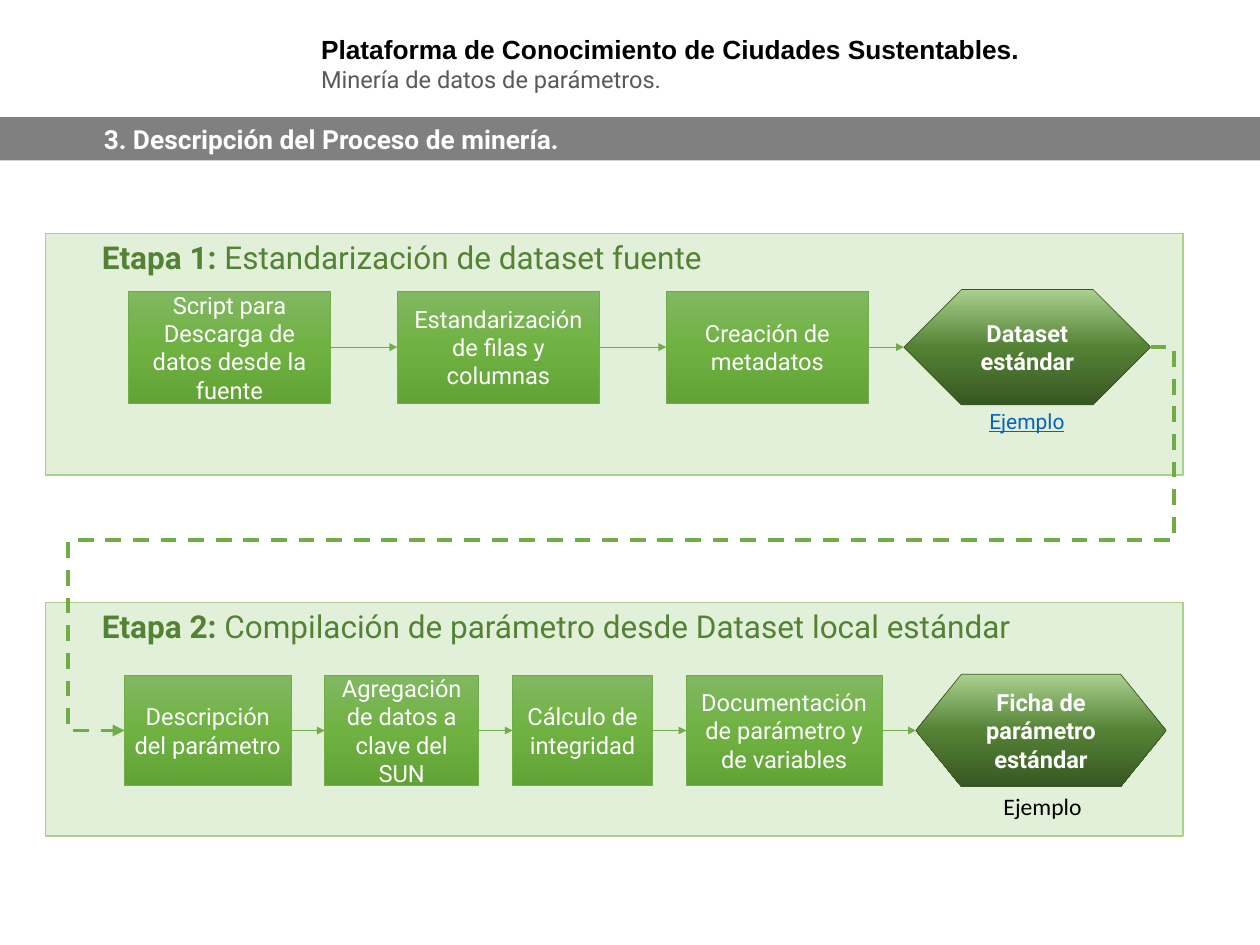
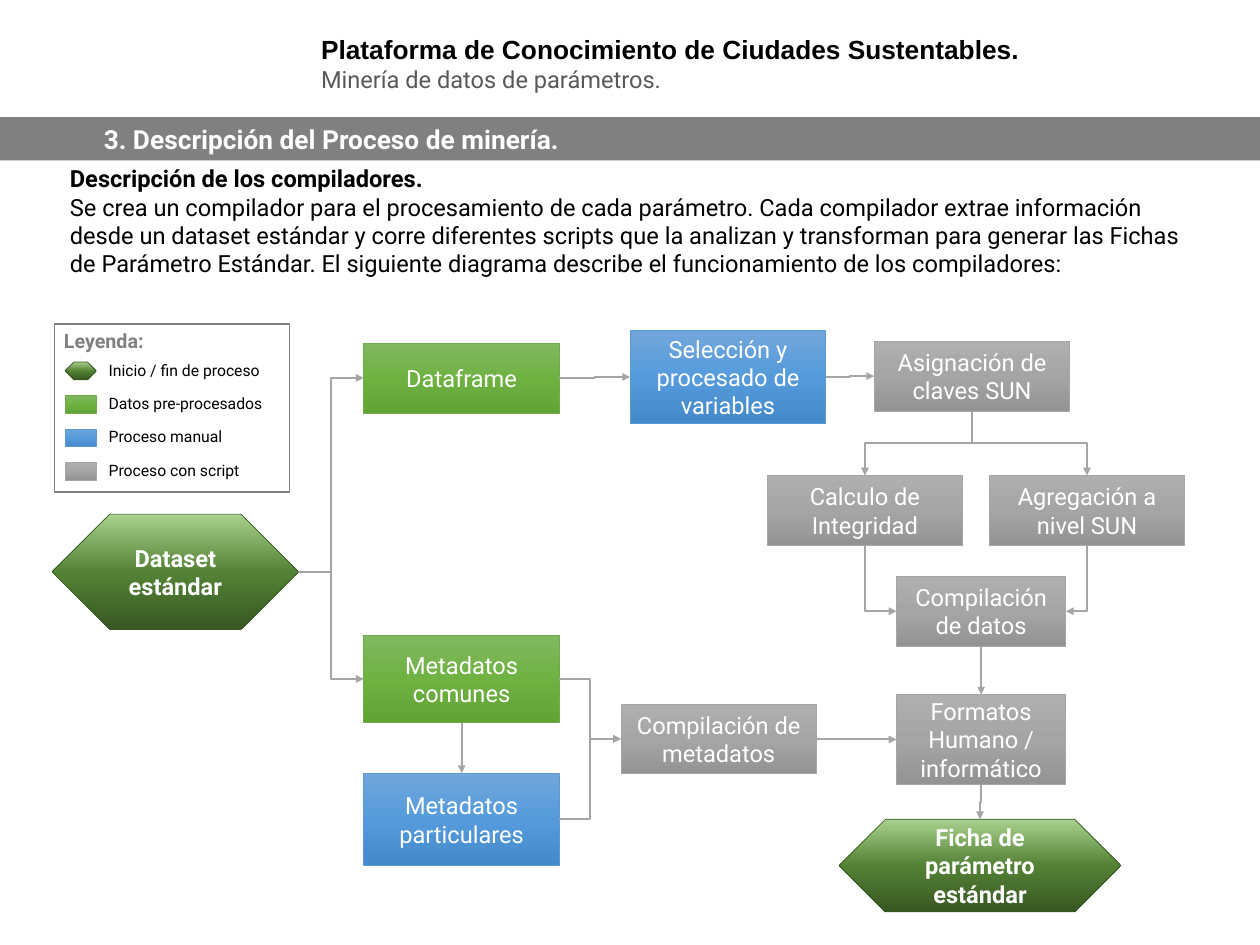
import copy
from collections import namedtuple
from pptx import Presentation
from pptx import util as u
from pptx.dml.color import RGBColor
from pptx.enum import dml, shapes, text
from pptx.oxml.ns import qn
from pptx.oxml.xmlchemy import OxmlElement


class Theme:
    black, white, grey, subtitle = "000000", "FFFFFF", "808080", "595959"
    panel, panel_line, heading = "E2F0D9", "A9D18E", "548235"
    green, flow, link = "70AD47", "A5A5A5", "0563C1"
    font, title_font, note_font = "Roboto", "Arial", "Calibri"
    title, body, stage, legend, small, example = 20, 18, 24, 15, 12, 16
    # Kind of step: gradient from top to bottom, outline
    steps = {
        "end": (("A9D18E", "548235", "385723"), "385723"),
        "data": (("81B861", "6FB242", "62A336"), "70AD47"),
        "manual": (("71A6DB", "559BDB", "448ACA"), "5B9BD5"),
        "script": (("AFAFAF", "A5A5A5", "939393"), "A5A5A5"),
    }


Box = namedtuple("Box", "left top width height")
SLIDE_W, SLIDE_H = 33.87, 25.4

# ---- Content (lengths in cm) ----
TITLE = "Plataforma de Conocimiento de Ciudades Sustentables."
SUBTITLE = "Minería de datos de parámetros."
SECTION = "3. Descripción del Proceso de minería."

STAGES = [
    dict(label="Etapa 1: ", name="Estandarización de dataset fuente",
         panel=Box(1.22, 6.27, 30.58, 6.5),
         left=3.45, top=7.82, height=3.02, gap=1.79,
         steps=[("Script para Descarga de datos desde la fuente", 5.44),
                ("Estandarización de filas y columnas", 5.44),
                ("Creación de metadatos", 5.44)],
         result="Dataset estándar", result_gap=0.95, result_size=(6.63, 3.1), point=0.5,
         example=Box(25.88, 10.85, 3.45, 0.94),
         example_style=dict(size=Theme.example, color=Theme.link, underline=True)),
    dict(label="Etapa 2: ", name="Compilación de parámetro desde Dataset local estándar",
         panel=Box(1.22, 16.2, 30.58, 6.27),
         left=3.35, top=18.16, height=2.95, gap=0.91,
         steps=[("Descripción del parámetro", 4.47),
                ("Agregación de datos a clave del SUN", 4.14),
                ("Cálculo de integridad", 3.76),
                ("Documentación de parámetro y de variables", 5.26)],
         result="Ficha de parámetro estándar", result_gap=0.91,
         result_size=(6.73, 3.02), point=0.405,
         example=Box(25.88, 21.16, 4.29, 1.04),
         example_style=dict(size=Theme.body, color=Theme.black, font=Theme.note_font)),
]
EXAMPLE = "Ejemplo"
STAGE_LINK_BENDS = (-0.023, 0.504, 1.055)

COMPILERS_HEADING = "Descripción de los compiladores."
COMPILERS_TEXT = (
    "Se crea un compilador para el procesamiento de cada parámetro. Cada compilador "
    "extrae información desde un dataset estándar y corre diferentes scripts que la "
    "analizan y transforman para generar las Fichas de Parámetro Estándar. El siguiente "
    "diagrama describe el funcionamiento de los compiladores:")

STEP_W, STEP_H = 5.26, 1.88
COMPILER_STEPS = {
    "dataset": ("end", "Dataset estándar", Box(1.4, 13.82, 6.63, 3.1)),
    "dataframe": ("data", "Dataframe", Box(9.78, 9.22, STEP_W, STEP_H)),
    "common": ("data", "Metadatos comunes", Box(9.78, 17.07, STEP_W, 2.36)),
    "particular": ("manual", "Metadatos particulares", Box(9.78, 20.78, STEP_W, 2.49)),
    "selection": ("manual", "Selección y procesado de variables",
                  Box(16.94, 8.89, STEP_W, 2.49)),
    "keys": ("script", "Asignación de claves SUN", Box(23.5, 9.17, STEP_W, STEP_H)),
    "integrity": ("script", "Calculo de Integridad", Box(20.62, 12.78, STEP_W, STEP_H)),
    "aggregation": ("script", "Agregación a nivel SUN", Box(26.59, 12.78, STEP_W, STEP_H)),
    "metadata": ("script", "Compilación de metadatos", Box(16.69, 18.92, STEP_W, STEP_H)),
    "compiled": ("script", "Compilación de datos", Box(24.1, 15.49, 4.55, STEP_H)),
    "formats": ("script", "Formatos\nHumano / informático", Box(24.1, 18.67, 4.55, 2.41)),
    "record": ("end", "Ficha de parámetro estándar", Box(22.56, 22.02, 7.57, 2.49)),
}
# From, side it leaves, to, side it enters
FLOWS = [
    ("dataset", "right", "dataframe", "left"),
    ("dataset", "right", "common", "left"),
    ("dataframe", "right", "selection", "left"),
    ("selection", "right", "keys", "left"),
    ("keys", "bottom", "integrity", "top"),
    ("keys", "bottom", "aggregation", "top"),
    ("common", "bottom", "particular", "top"),
    ("common", "right", "metadata", "left"),
    ("particular", "right", "metadata", "left"),
    ("integrity", "bottom", "compiled", "left"),
    ("aggregation", "bottom", "compiled", "right"),
    ("compiled", "bottom", "formats", "top"),
    ("metadata", "right", "formats", "left"),
    ("formats", "bottom", "record", "top"),
]
LEGEND_TITLE = "Leyenda:"
LEGEND = [("end", "Inicio / fin de proceso"), ("data", "Datos pre-procesados"),
          ("manual", "Proceso manual"), ("script", "Proceso con script")]
LEGEND_BOX = Box(1.47, 8.71, 6.32, 4.52)
LEGEND_TOP, LEGEND_PITCH = 9.73, 0.9


# ---- Drawing helpers ----
def rgb(color):
    return RGBColor.from_string(color)


def cm(*lengths):
    return [u.Cm(length) for length in lengths]


def style(paragraph, size, color, bold=False, font=Theme.font, underline=None, align=None):
    paragraph.alignment = align
    for run in paragraph.runs:
        run.font.size, run.font.name = u.Pt(size), font
        run.font.bold, run.font.underline = bold, underline
        run.font.color.rgb = rgb(color)


def indent(paragraph, level, margin):
    paragraph.level = level
    paragraph._p.get_or_add_pPr().set("marL", str(u.Cm(margin)))


def add_text(slide, box, content):
    frame = slide.shapes.add_textbox(*cm(*box)).text_frame
    frame.word_wrap = True
    frame.text = content
    return frame.paragraphs


def add_panel(slide, box, fill, line=None):
    panel = slide.shapes.add_shape(shapes.MSO_SHAPE.RECTANGLE, *cm(*box))
    panel.shadow.inherit = False
    panel.fill.solid()
    panel.fill.fore_color.rgb = rgb(fill)
    if line:
        panel.line.color.rgb, panel.line.width = rgb(line), u.Pt(1)
    else:
        panel.line.fill.background()
    panel.text_frame.vertical_anchor = text.MSO_ANCHOR.TOP
    return panel


def add_step(slide, kind, content, box, point=0.5):
    gradient, outline = Theme.steps[kind]
    is_end = kind == "end"
    preset = shapes.MSO_SHAPE.LEFT_RIGHT_ARROW if is_end else shapes.MSO_SHAPE.RECTANGLE
    step = slide.shapes.add_shape(preset, *cm(*box))
    if is_end:
        step.adjustments[0], step.adjustments[1] = 1, point
    step.shadow.inherit = False
    step.fill.gradient()
    step.fill.gradient_angle = 270
    stop_list = step._element.spPr.find(".//" + qn("a:gsLst"))
    stop_list.append(copy.deepcopy(stop_list[0]))
    for stop, color, position in zip(step.fill.gradient_stops, gradient, (0, 0.5, 1)):
        stop.color.rgb, stop.position = rgb(color), position
    step.line.color.rgb, step.line.width = rgb(outline), u.Pt(0.5)
    if content:
        frame = step.text_frame
        frame.word_wrap, frame.vertical_anchor = True, text.MSO_ANCHOR.MIDDLE
        frame.text = content
        for paragraph in frame.paragraphs:
            style(paragraph, Theme.body, Theme.white, bold=is_end,
                  align=text.PP_ALIGN.CENTER)


def side(box, name):
    x_share, y_share = {"left": (0, 0.5), "right": (1, 0.5),
                        "top": (0.5, 0), "bottom": (0.5, 1)}[name]
    return box.left + box.width * x_share, box.top + box.height * y_share


def add_line(slide, start, end, color, width, kind="STRAIGHT", dash=None, arrow=True):
    line = slide.shapes.add_connector(getattr(shapes.MSO_CONNECTOR, kind),
                                      *cm(*start, *end))
    line.line.color.rgb, line.line.width = rgb(color), u.Pt(width)
    if dash:
        line.line.dash_style = dash
    properties = line._element.spPr
    if arrow:
        head = OxmlElement("a:tailEnd")
        head.set("type", "triangle")
        properties.find(qn("a:ln")).append(head)
    properties.append(OxmlElement("a:effectLst"))
    return properties


def set_bends(properties, preset, bends=()):
    geometry = properties.find(qn("a:prstGeom"))
    geometry.set("prst", preset)
    guides = geometry.find(qn("a:avLst"))
    for number, bend in enumerate(bends, 1):
        guide = OxmlElement("a:gd")
        guide.set("name", f"adj{number}")
        guide.set("fmla", f"val {round(bend * 100000)}")
        guides.append(guide)


def add_flow(slide, start, end, leaves, enters):
    """Elbow arrow; one that leaves downwards is laid flat and then turned."""
    if leaves == "right":
        add_line(slide, start, end, Theme.flow, 1.5, "ELBOW")
        return
    (x1, y1), (x2, y2) = start, end
    mid_x, mid_y = (x1 + x2) / 2, (y1 + y2) / 2
    half_w, half_h = (y2 - y1) / 2, abs(x2 - x1) / 2
    to_right = x2 > x1
    if to_right:
        half_w = -half_w
    properties = add_line(slide, (mid_x - half_w, mid_y - half_h),
                          (mid_x + half_w, mid_y + half_h), Theme.flow, 1.5, "ELBOW")
    properties.find(qn("a:xfrm")).set("rot", str((270 if to_right else 90) * 60000))
    if enters != "top":
        set_bends(properties, "bentConnector2")


def new_slide(deck):
    """Blank slide with the shared title and section band."""
    slide = deck.slides.add_slide(deck.slide_layouts[6])
    title, subtitle = add_text(slide, Box(8.38, 0.76, 24.03, 1.88), TITLE + "\n" + SUBTITLE)
    style(title, Theme.title, Theme.black, bold=True, font=Theme.title_font)
    style(subtitle, Theme.body, Theme.subtitle)
    add_line(slide, (0, 3.2), (SLIDE_W, 3.2), Theme.grey, 3, arrow=False)
    band = add_panel(slide, Box(0, 3.2, SLIDE_W, 1.11), Theme.grey)
    band.text_frame.text = SECTION
    section = band.text_frame.paragraphs[0]
    style(section, Theme.title, Theme.white, bold=True, align=text.PP_ALIGN.LEFT)
    indent(section, 2, 2.54)
    return slide


def add_stage(slide, stage):
    """Panel with a row of steps; returns the first step and the result."""
    panel = add_panel(slide, stage["panel"], Theme.panel, Theme.panel_line)
    panel.text_frame.text = stage["label"]
    heading = panel.text_frame.paragraphs[0]
    heading.add_run().text = stage["name"]
    style(heading, Theme.stage, Theme.heading, align=text.PP_ALIGN.LEFT)
    heading.runs[0].font.bold = True
    indent(heading, 1, 1.27)

    boxes, left = [], stage["left"]
    for content, width in stage["steps"]:
        boxes.append(Box(left, stage["top"], width, stage["height"]))
        add_step(slide, "data", content, boxes[-1])
        left += width + stage["gap"]
    width, height = stage["result_size"]
    boxes.append(Box(left - stage["gap"] + stage["result_gap"],
                     stage["top"] + (stage["height"] - height) / 2, width, height))
    add_step(slide, "end", stage["result"], boxes[-1], stage["point"])
    for before, after in zip(boxes, boxes[1:]):
        add_line(slide, side(before, "right"), side(after, "left"), Theme.green, 0.5)

    example = add_text(slide, stage["example"], EXAMPLE)[0]
    style(example, align=text.PP_ALIGN.CENTER, **stage["example_style"])
    return boxes[0], boxes[-1]


deck = Presentation()
deck.slide_width, deck.slide_height = cm(SLIDE_W, SLIDE_H)

# ---- Slide 1: the two stages ----
slide = new_slide(deck)
(_, dataset), (first_step, _) = [add_stage(slide, stage) for stage in STAGES]
stage_link = add_line(slide, side(dataset, "right"), side(first_step, "left"),
                      Theme.green, 3, "ELBOW", dml.MSO_LINE.DASH)
set_bends(stage_link, "bentConnector5", STAGE_LINK_BENDS)

# ---- Slide 2: how the compilers work ----
slide = new_slide(deck)
heading, description = add_text(slide, Box(1.63, 4.29, 31.09, 3.33),
                                COMPILERS_HEADING + "\n" + COMPILERS_TEXT)
style(heading, Theme.body, Theme.black, bold=True)
style(description, Theme.body, Theme.black)
for kind, content, box in COMPILER_STEPS.values():
    add_step(slide, kind, content, box)
for source, leaves, target, enters in FLOWS:
    add_flow(slide, side(COMPILER_STEPS[source][2], leaves),
             side(COMPILER_STEPS[target][2], enters), leaves, enters)

# Legend
legend = add_panel(slide, LEGEND_BOX, Theme.white, Theme.grey)
legend.text_frame.text = LEGEND_TITLE
style(legend.text_frame.paragraphs[0], Theme.legend, Theme.grey, bold=True,
      align=text.PP_ALIGN.LEFT)
for row, (kind, meaning) in enumerate(LEGEND):
    top = LEGEND_TOP + row * LEGEND_PITCH
    add_step(slide, kind, "", Box(1.75, top, 0.84, 0.48))
    style(add_text(slide, Box(2.67, top - 0.17, 4.9, 0.76), meaning)[0],
          Theme.small, Theme.black)

deck.save("out.pptx")
